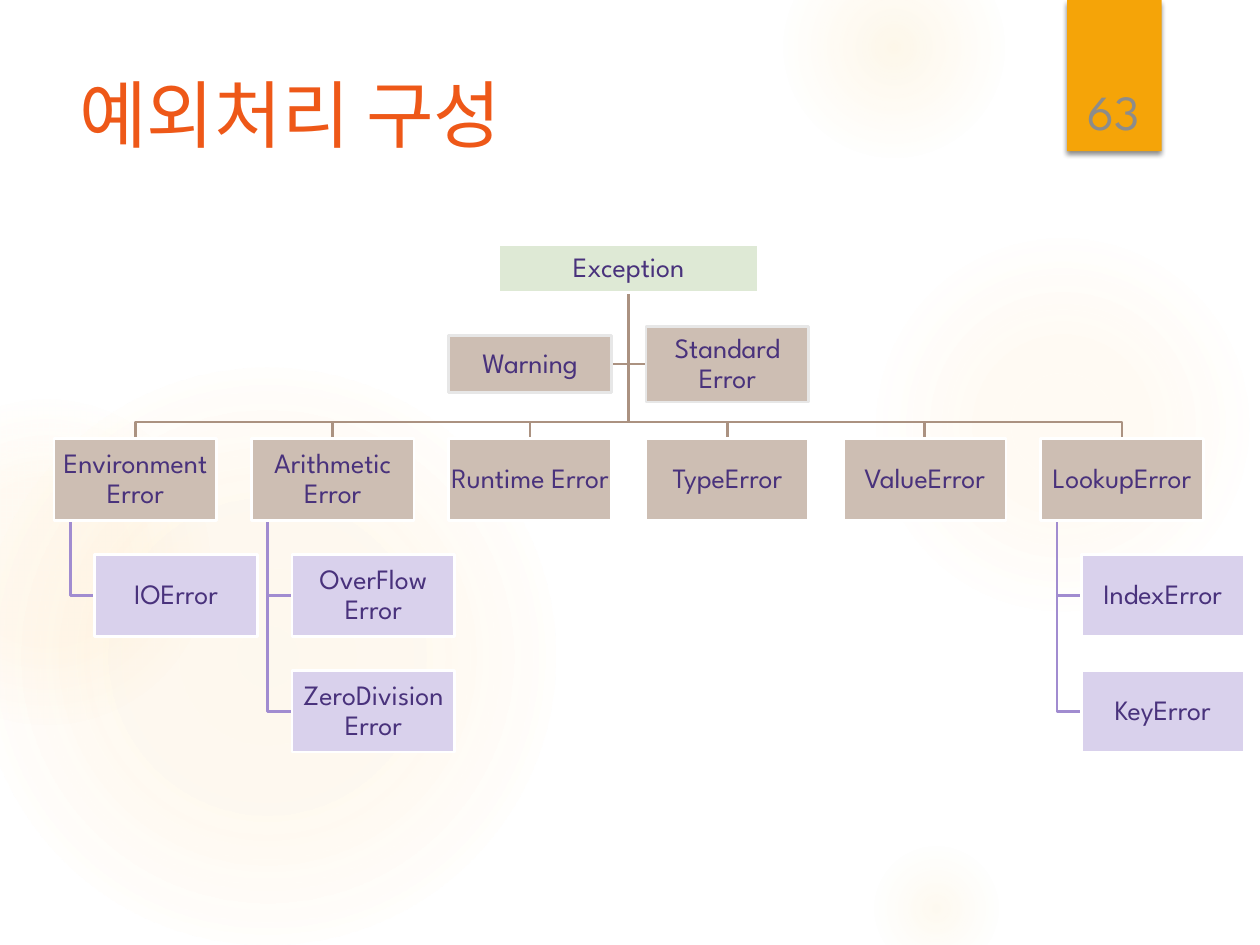
from dataclasses import dataclass

from lxml import etree
from pptx import Presentation
from pptx import util as u
from pptx.dml.color import RGBColor
from pptx.enum import shapes, text
from pptx.oxml import parse_xml
from pptx.oxml.ns import nsdecls, qn


@dataclass(frozen=True)
class Theme:
    latin: str = "League Spartan"
    korean: str = "Noto Sans CJK KR"
    title: str = "EE5818"
    number: str = "8C8C8C"
    accent: str = "F5A408"
    halo: str = "FAC96A"
    ink: str = "49327C"
    green: str = "DEE9D5"
    brown: str = "CDBEB3"
    violet: str = "D9D1EC"
    brown_line: str = "AB9281"
    violet_line: str = "A18CD0"
    white: str = "FFFFFF"
    grey: str = "E7E7E7"
    title_pt: float = 42
    number_pt: float = 28
    node_pt: float = 16
    line_pt: float = 1.5


@dataclass(frozen=True)
class Halo:
    """Centre and diameter in percent of slide width; stops are (position, opacity)."""
    cx: float
    cy: float
    size: float
    stops: tuple[tuple[int, int], ...]


@dataclass(frozen=True)
class Node:
    """Box in inches."""
    label: str
    x: float
    y: float
    w: float
    h: float
    fill: str
    line: str = Theme.white

    @property
    def cx(self) -> float:
        return self.x + self.w / 2

    @property
    def cy(self) -> float:
        return self.y + self.h / 2

    @property
    def bottom(self) -> float:
        return self.y + self.h


T = Theme()
SLIDE_W, SLIDE_H = 10, 7.5
LEFT, TOP = 0.43, 3.48
COL, ROW = 7.83 / 5, 0.92
BOX_W, BOX_H = 1.29, 0.65
INDENT, STEM = BOX_W / 4, BOX_W / 10
BUS_Y = TOP - STEM

HALOS = (
    Halo(84.3, 33.7, 30.8, ((0, 7), (36, 6), (69, 0))),
    Halo(70.95, 3.75, 17.5, ((0, 14), (36, 7), (73, 0))),
    Halo(74.3, 72.1, 10.8, ((0, 10), (31, 5), (66, 0))),
    Halo(21.2, 52.1, 45.8, ((0, 11), (36, 10), (75, 0))),
    Halo(3.7, 44.6, 25.8, ((0, 8), (36, 8), (72, 0))),
)
BRANCHES = (
    ("Environment Error", ("IOError",)),
    ("Arithmetic Error", ("OverFlow Error", "ZeroDivision Error")),
    ("Runtime Error", ()),
    ("TypeError", ()),
    ("ValueError", ()),
    ("LookupError", ("IndexError", "KeyError")),
)
ASSISTANTS = (("Warning", 2, 0.45), ("Standard Error", 3, 0.6))


def rgb(color: str) -> RGBColor:
    return RGBColor.from_string(color)


def add_preset(s, kind, x: float, y: float, w: float, h: float, fill: str):
    sp = s.shapes.add_shape(kind, *map(u.Inches, (x, y, w, h)))
    sp.shadow.inherit = False
    sp.fill.solid()
    sp.fill.fore_color.rgb = rgb(fill)
    sp.line.fill.background()
    return sp


def add_halo(s, halo: Halo) -> None:
    cx, cy, d = (v / 100 * SLIDE_W for v in (halo.cx, halo.cy, halo.size))
    sp = add_preset(s, shapes.MSO_SHAPE.OVAL, cx - d / 2, cy - d / 2, d, d, T.halo)
    stops = "".join(
        f'<a:gs pos="{pos * 1000}"><a:srgbClr val="{T.halo}">'
        f'<a:alpha val="{alpha * 1000}"/></a:srgbClr></a:gs>'
        for pos, alpha in halo.stops)
    gradient = parse_xml(
        f'<a:gradFill {nsdecls("a")} rotWithShape="1"><a:gsLst>{stops}</a:gsLst>'
        '<a:path path="circle"><a:fillToRect l="50000" t="50000" r="50000" b="50000"/>'
        '</a:path></a:gradFill>')
    props = sp._element.spPr
    props.replace(props.find(qn("a:solidFill")), gradient)


def add_ribbon(s) -> None:
    sp = add_preset(s, shapes.MSO_SHAPE.RECTANGLE, 8.47, 0, 0.75, 1.2, T.accent)
    effects = sp._element.spPr.find(qn("a:effectLst"))
    effects.append(parse_xml(
        f'<a:outerShdw {nsdecls("a")} blurRad="{u.Pt(3)}" dist="{u.Pt(2)}" dir="5400000">'
        '<a:srgbClr val="000000"><a:alpha val="45000"/></a:srgbClr></a:outerShdw>'))


def add_run(p, content: str, size: float, color: str, font: str) -> None:
    r = p.add_run()
    r.text = content
    r.font.size = u.Pt(size)
    r.font.color.rgb = rgb(color)
    r.font.name = font
    etree.SubElement(r._r.get_or_add_rPr(), qn("a:ea"), typeface=font)


def add_text(s, box: tuple, content: str, size: float, color: str, font: str,
             anchor, align) -> None:
    tf = s.shapes.add_textbox(*map(u.Inches, box)).text_frame
    tf.word_wrap = True
    tf.vertical_anchor = anchor
    p = tf.paragraphs[0]
    p.alignment = align
    add_run(p, content, size, color, font)


def add_node(s, node: Node) -> None:
    sp = add_preset(s, shapes.MSO_SHAPE.RECTANGLE, node.x, node.y, node.w, node.h, node.fill)
    sp.line.color.rgb = rgb(node.line)
    sp.line.width = u.Pt(T.line_pt)
    tf = sp.text_frame
    tf.word_wrap = True
    tf.vertical_anchor = text.MSO_ANCHOR.MIDDLE
    tf.margin_left = tf.margin_right = tf.margin_top = tf.margin_bottom = u.Inches(0.01)
    p = tf.paragraphs[0]
    p.alignment = text.PP_ALIGN.CENTER
    p.line_spacing = 0.9
    add_run(p, node.label, T.node_pt, T.ink, T.latin)


def add_elbow(s, color: str, *points: tuple[float, float]) -> None:
    start, *rest = [(u.Inches(x), u.Inches(y)) for x, y in points]
    builder = s.shapes.build_freeform(*start)
    builder.add_line_segments(rest, close=False)
    sp = builder.convert_to_shape()
    sp.shadow.inherit = False
    sp.fill.background()
    sp.line.color.rgb = rgb(color)
    sp.line.width = u.Pt(T.line_pt)


def add_tree(s) -> None:
    root_w = 2.06
    root = Node("Exception", LEFT + 2.5 * COL + (BOX_W - root_w) / 2, 1.94,
                root_w, 0.38, T.green)
    trunk = (root.cx, root.bottom)
    nodes = [root]
    for label, col, h in ASSISTANTS:
        node = Node(label, LEFT + col * COL, 2.89 - h / 2, BOX_W, h, T.brown, T.grey)
        edge = node.x if node.x > root.cx else node.x + node.w
        add_elbow(s, T.brown_line, trunk, (root.cx, node.cy), (edge, node.cy))
        nodes.append(node)
    for col, (label, children) in enumerate(BRANCHES):
        parent = Node(label, LEFT + col * COL, TOP, BOX_W, BOX_H, T.brown)
        add_elbow(s, T.brown_line, trunk, (root.cx, BUS_Y), (parent.cx, BUS_Y),
                  (parent.cx, parent.y))
        nodes.append(parent)
        for row, name in enumerate(children, start=1):
            child = Node(name, parent.x + INDENT, TOP + row * ROW, BOX_W, BOX_H, T.violet)
            stem_x = parent.x + STEM
            add_elbow(s, T.violet_line, (stem_x, parent.bottom), (stem_x, child.cy),
                      (child.x, child.cy))
            nodes.append(child)
    for node in nodes:
        add_node(s, node)


def main() -> None:
    prs = Presentation()
    prs.slide_width, prs.slide_height = u.Inches(SLIDE_W), u.Inches(SLIDE_H)
    s = prs.slides.add_slide(prs.slide_layouts[6])
    for halo in HALOS:
        add_halo(s, halo)
    add_ribbon(s)
    add_tree(s)
    add_text(s, (0.53, 0.5, 7.72, 1.53), "예외처리 구성", T.title_pt, T.title, T.korean,
             text.MSO_ANCHOR.TOP, text.PP_ALIGN.LEFT)
    add_text(s, (8.49, 0.32, 0.69, 0.84), "63", T.number_pt, T.number, T.latin,
             text.MSO_ANCHOR.BOTTOM, text.PP_ALIGN.CENTER)
    prs.save("out.pptx")


if __name__ == "__main__":
    main()
